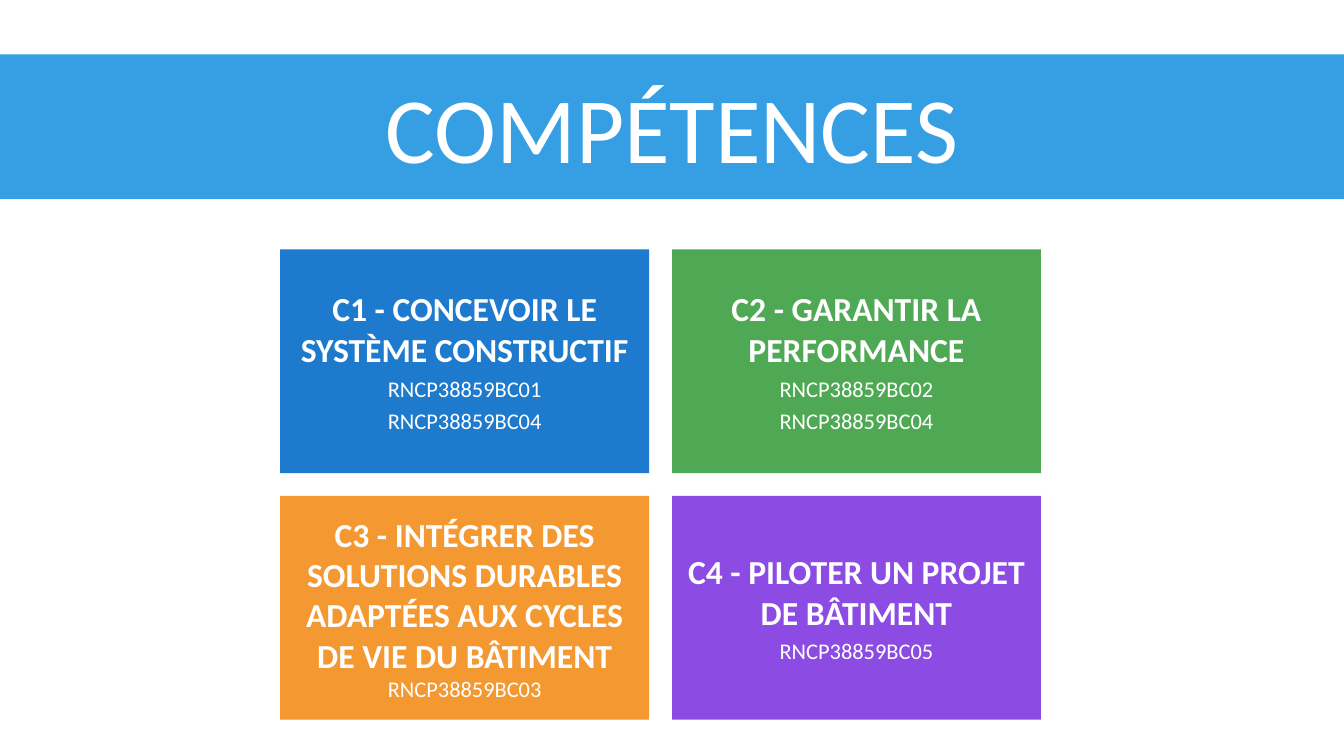
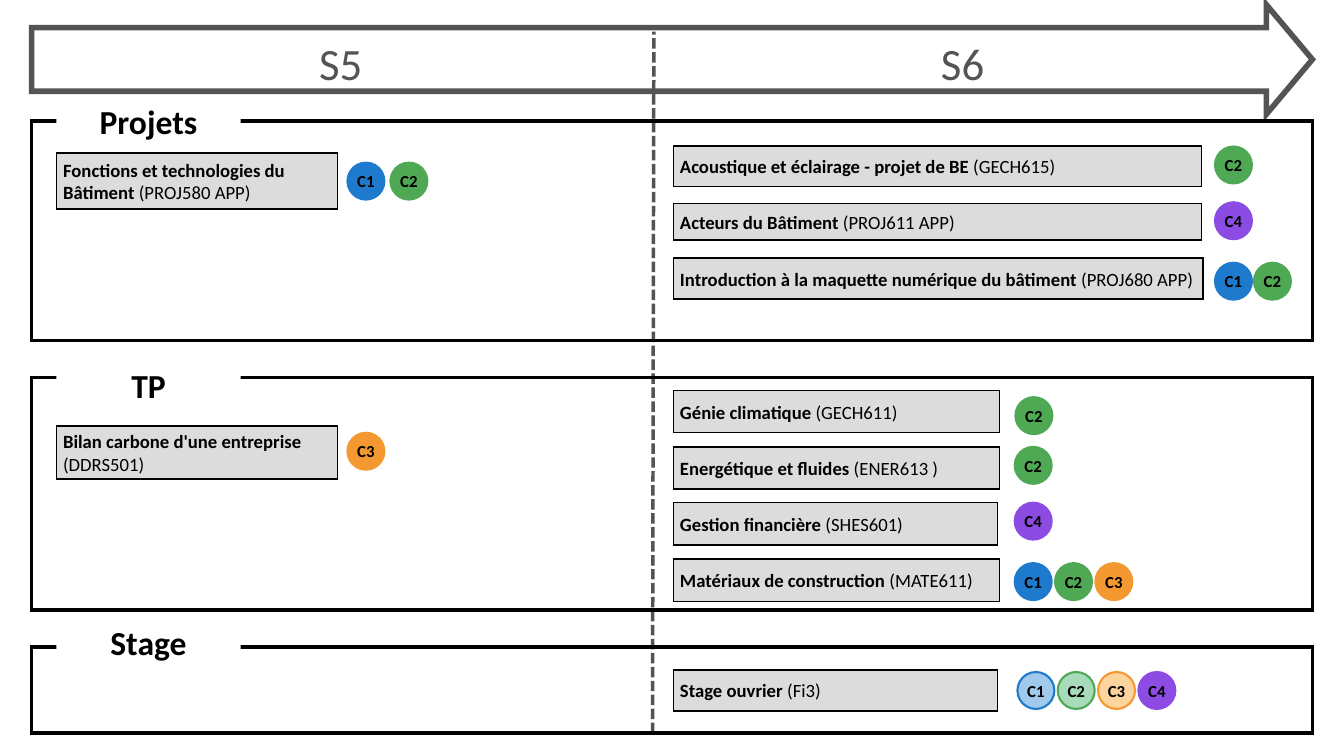
from lxml import etree
from pptx import Presentation
from pptx.dml.color import RGBColor
from pptx.enum.dml import MSO_LINE
from pptx.enum.shapes import MSO_CONNECTOR, MSO_SHAPE
from pptx.enum.text import MSO_ANCHOR, MSO_AUTO_SIZE, PP_ALIGN
from pptx.oxml.ns import qn
from pptx.util import Pt

PX = 9144  # 100 px to the inch
FONT = "Calibri"
WHITE, BLACK, GREY, COURSE_GREY, BANNER_BLUE = "FFFFFF", "000000", "545454", "DDDCDC", "369FE3"
SKILL_COLORS = {"C1": "1E7ACC", "C2": "4FA954", "C3": "F49831", "C4": "8C4BE2"}
PALE_COLORS = {"C1": "A0C9EB", "C2": "A8DBBA", "C3": "FBD49E", "C4": "8C4BE2"}
color = RGBColor.from_string


def add_box(slide, kind, left, top, width, height, fill=None, line=None, line_width=1.5):
    shape = slide.shapes.add_shape(kind, left * PX, top * PX, width * PX, height * PX)
    shape.shadow.inherit = False
    if fill:
        shape.fill.solid()
        shape.fill.fore_color.rgb = color(fill)
    else:
        shape.fill.background()
    if line:
        shape.line.color.rgb = color(line)
        shape.line.width = Pt(line_width)
        outline = shape._element.spPr.find(qn("a:ln"))
        etree.SubElement(outline, qn("a:miter"), lim="800000")
    else:
        shape.line.fill.background()
    shape.text_frame.word_wrap = True
    shape.text_frame.vertical_anchor = MSO_ANCHOR.MIDDLE
    return shape


def write(shape, text, size, font_color, bold=None, align=PP_ALIGN.CENTER):
    """Fill the first paragraph if it is empty, otherwise add one."""
    frame = shape.text_frame
    paragraph = frame.add_paragraph() if frame.text else frame.paragraphs[0]
    paragraph.alignment = align
    paragraph.font.name = FONT
    paragraph.font.size = Pt(size)
    paragraph.font.bold = bold
    paragraph.font.color.rgb = color(font_color)
    paragraph.add_run().text = text
    return paragraph


presentation = Presentation()
presentation.slide_width = 2000 * PX
presentation.slide_height = 1125 * PX

# Slide 1: the four skills
slide = presentation.slides.add_slide(presentation.slide_layouts[5])
title = slide.shapes.title
title.left, title.top, title.width, title.height = 0, 81 * PX, 2000 * PX, 215 * PX
title.fill.solid()
title.fill.fore_color.rgb = color(BANNER_BLUE)
title.text_frame.auto_size = MSO_AUTO_SIZE.NONE
title.text_frame.vertical_anchor = MSO_ANCHOR.MIDDLE
write(title, "COMPÉTENCES", 100, WHITE)

skills = [
    ("C1", "CONCEVOIR LE SYSTÈME CONSTRUCTIF", ["RNCP38859BC01", "RNCP38859BC04"], 6),
    ("C2", "GARANTIR LA PERFORMANCE", ["RNCP38859BC02", "RNCP38859BC04"], 6),
    ("C3", "INTÉGRER DES SOLUTIONS DURABLES ADAPTÉES AUX CYCLES DE VIE DU BÂTIMENT",
     ["RNCP38859BC03"], 0),
    ("C4", "PILOTER UN PROJET DE BÂTIMENT", ["RNCP38859BC05"], 6),
]
for index, (skill, name, blocks, space_after) in enumerate(skills):
    row, column = divmod(index, 2)
    tile = add_box(slide, MSO_SHAPE.RECTANGLE, 417 + 583 * column, 371 + 367 * row, 549, 333,
                   SKILL_COLORS[skill])
    write(tile, f"{skill} - {name}", 36, WHITE, True).space_after = Pt(space_after)
    for block in blocks:
        write(tile, block, 24, WHITE).space_after = Pt(6)

# Slide 2: courses by semester
slide = presentation.slides.add_slide(presentation.slide_layouts[6])
arrow = add_box(slide, MSO_SHAPE.RIGHT_ARROW, 47, 7, 1906, 163, line=GREY, line_width=6)
arrow.adjustments[0] = 0.58
arrow.adjustments[1] = 0.42

divider = slide.shapes.add_connector(MSO_CONNECTOR.STRAIGHT, 971 * PX, 1091 * PX, 973 * PX, 47 * PX)
divider.line.color.rgb = color(GREY)
divider.line.width = Pt(3.75)
divider.line.dash_style = MSO_LINE.SQUARE_DOT
etree.SubElement(divider._element.spPr, qn("a:effectLst"))

for semester, left, width in [("S5", 50, 914), ("S6", 981, 903)]:
    label = slide.shapes.add_textbox(left * PX, 46 * PX, width * PX, 83 * PX)
    frame = label.text_frame
    frame.word_wrap = True
    frame.margin_left = frame.margin_top = frame.margin_right = frame.margin_bottom = 0
    write(label, semester, 48, GREY).line_spacing = Pt(62.4)

sections = [
    ("Projets", 180, 327, 149, MSO_ANCHOR.MIDDLE),
    ("TP", 562, 346, 538, MSO_ANCHOR.TOP),
    ("Stage", 963, 128, 921, MSO_ANCHOR.TOP),
]
for name, top, height, label_top, anchor in sections:
    add_box(slide, MSO_SHAPE.RECTANGLE, 47, top, 1906, height, line=BLACK, line_width=3.75)
    label = add_box(slide, MSO_SHAPE.RECTANGLE, 84, label_top, 274, 61, WHITE)
    label.text_frame.vertical_anchor = anchor
    write(label, name, 36, BLACK, True)

# Course box, name, code, then the left, top and pitch of its badges, and their skills
S5_LEFT, S6_LEFT = 84, 1002
courses = [
    (S5_LEFT, 228, 418, 83, "Fonctions et technologies du Bâtiment", "(PROJ580 APP)",
     517, 242, 64, ["C1", "C2"]),
    (S6_LEFT, 217, 786, 61, "Acoustique et éclairage - projet de BE", "(GECH615)",
     1808, 218, 58, ["C2"]),
    (S6_LEFT, 303, 786, 54, "Acteurs du Bâtiment", "(PROJ611 APP)", 1808, 301, 58, ["C4"]),
    (S6_LEFT, 384, 788, 61, "Introduction à la maquette numérique du bâtiment", "(PROJ680 APP)",
     1808, 391, 58, ["C1", "C2"]),
    (S5_LEFT, 634, 418, 79, "Bilan carbone d'une entreprise", "(DDRS501)", 517, 644, 64, ["C3"]),
    (S6_LEFT, 581, 485, 63, "Génie climatique", "(GECH611)", 1511, 591, 60, ["C2"]),
    (S6_LEFT, 665, 485, 63, "Energétique et fluides", "(ENER613 )", 1510, 665, 60, ["C2"]),
    (S6_LEFT, 748, 482, 63, "Gestion financière", "(SHES601)", 1510, 748, 60, ["C4"]),
    (S6_LEFT, 832, 485, 63, "Matériaux de construction", "(MATE611)",
     1510, 838, 60, ["C1", "C2", "C3"]),
    (S6_LEFT, 997, 482, 61, "Stage ouvrier", "(Fi3)", 1514, 1000, 60, ["C1", "C2", "C3", "C4"]),
]
for left, top, width, height, name, code, badge_left, badge_top, pitch, badges in courses:
    course = add_box(slide, MSO_SHAPE.RECTANGLE, left, top, width, height, COURSE_GREY, BLACK)
    paragraph = write(course, name + " ", 20, BLACK, align=PP_ALIGN.LEFT)
    paragraph.runs[0].font.bold = True
    paragraph.add_run().text = code
    fills = PALE_COLORS if name == "Stage ouvrier" else SKILL_COLORS
    for index, skill in enumerate(badges):
        badge = add_box(slide, MSO_SHAPE.OVAL, badge_left + index * pitch, badge_top, 55, 55,
                        fills[skill], SKILL_COLORS[skill], 2.25)
        frame = badge.text_frame
        frame.margin_left = frame.margin_top = frame.margin_right = frame.margin_bottom = 0
        write(badge, skill, 18, BLACK, True)

presentation.save("out.pptx")
